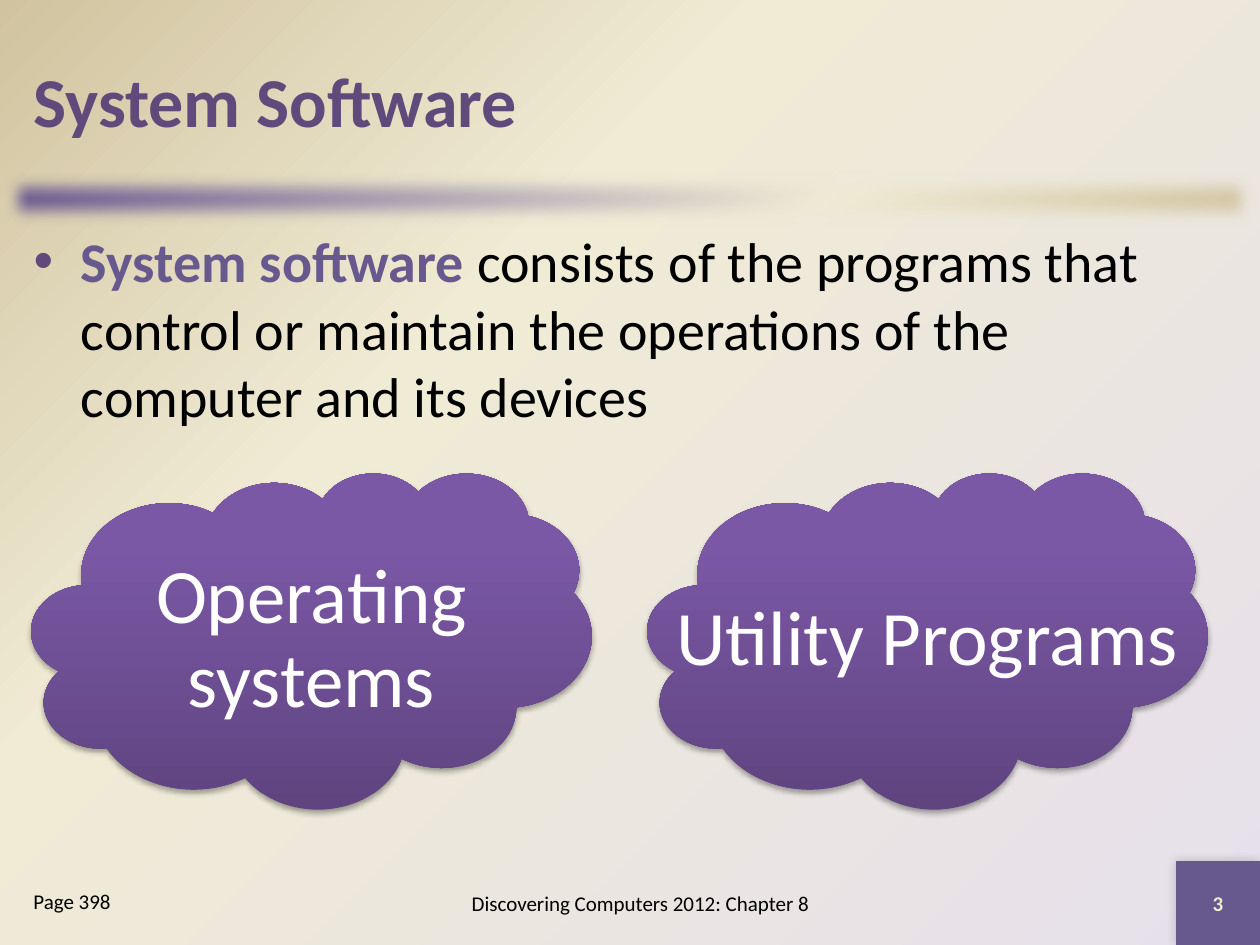
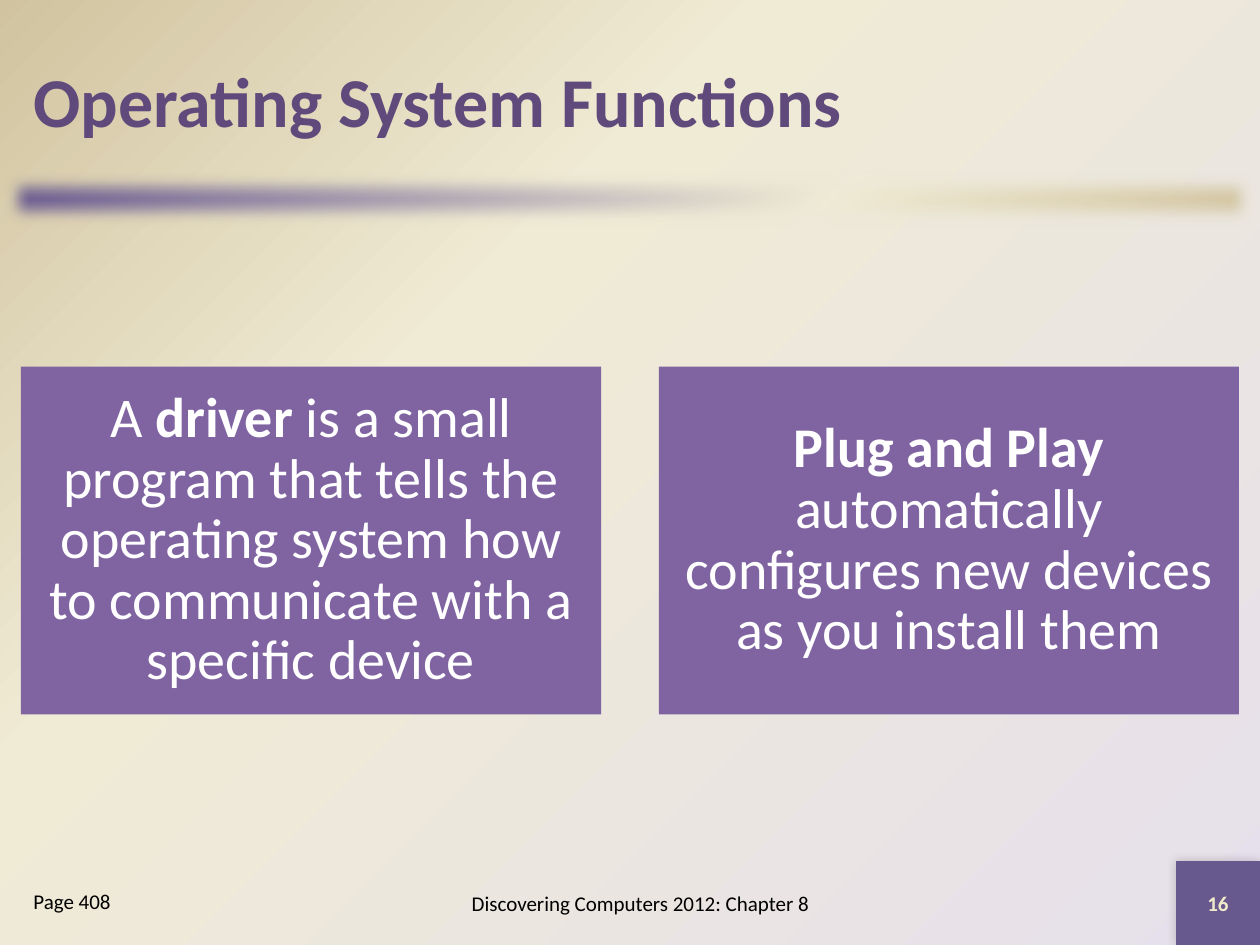
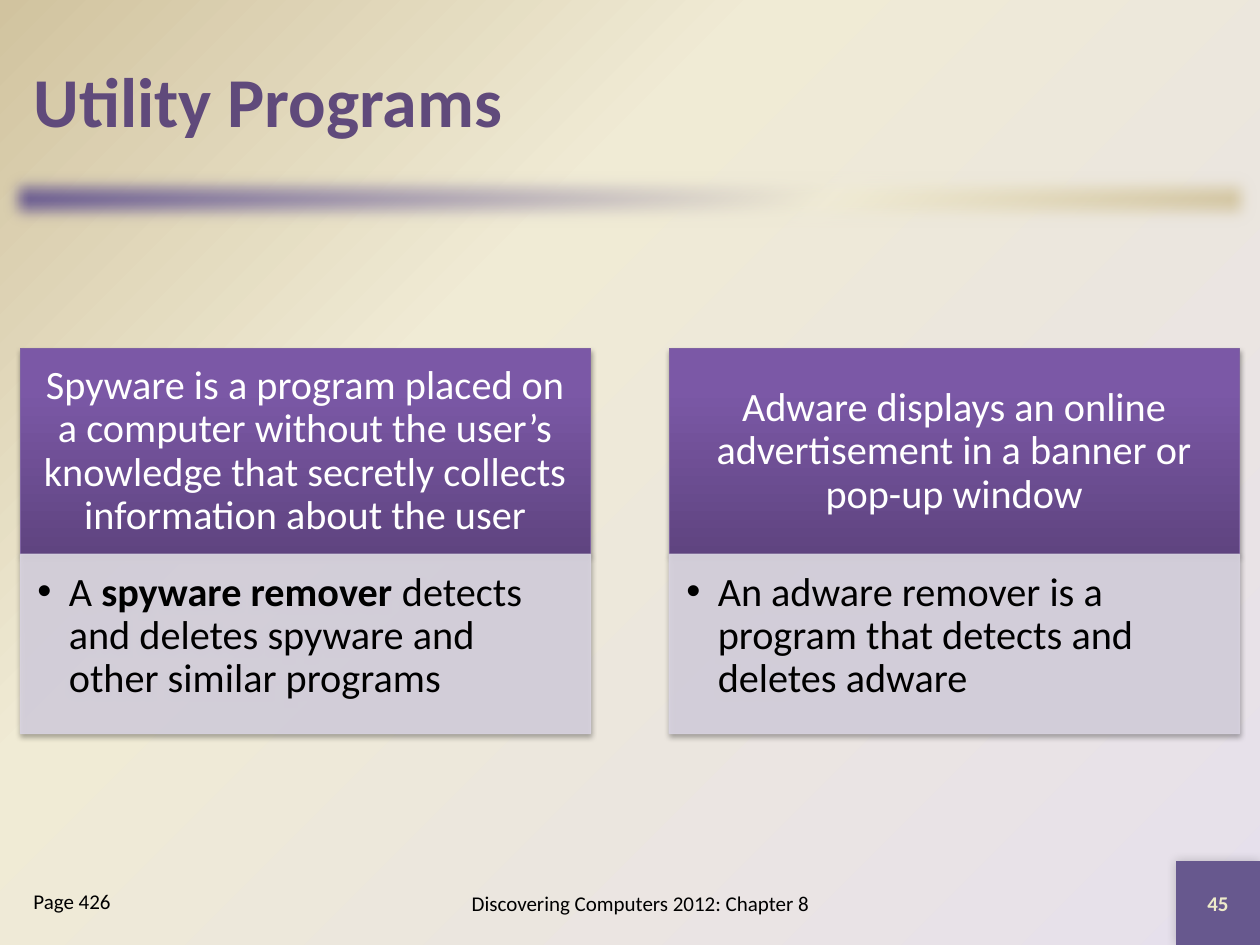
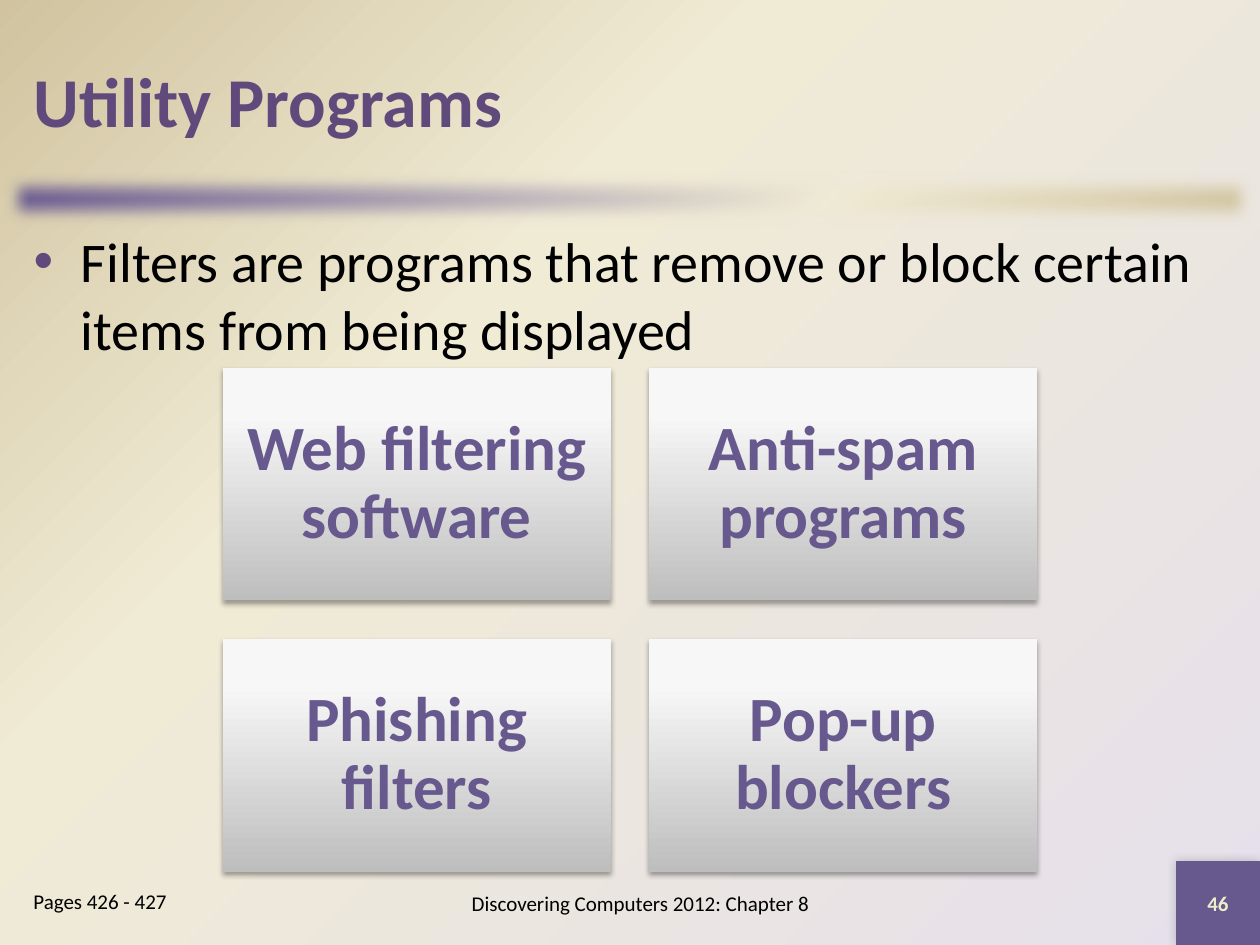
"""Build four textbook slides on system software and utility programs."""
from dataclasses import dataclass

from lxml import etree
from pptx import Presentation
from pptx.dml.color import RGBColor
from pptx.enum import shapes, text
from pptx.oxml import ns
from pptx.util import Pt

RECTANGLE = shapes.MSO_SHAPE.RECTANGLE
CLOUD = shapes.MSO_SHAPE.CLOUD
LEFT, CENTER = text.PP_ALIGN.LEFT, text.PP_ALIGN.CENTER
TOP, MIDDLE = text.MSO_ANCHOR.TOP, text.MSO_ANCHOR.MIDDLE
TITLE_AND_LIST, TITLE_ONLY = 1, 5
MARGINS = ("margin_left", "margin_top", "margin_right", "margin_bottom")


@dataclass(frozen=True)
class Theme:
    """Colours, gradients and type sizes of the deck."""
    font: str = "Calibri"
    title: str = "604A7B"
    accent: str = "67588E"
    panel: str = "8064A2"
    pale: str = "D8D3E0"
    number: str = "EEEBCA"
    black: str = "000000"
    white: str = "FFFFFF"
    backdrop: tuple = ((0, "E6E0EC"), (65, "F0EBD5"), (100, "D1C39F"))
    band: tuple = ((0, "67588E"), (65, "F0EBD5"), (100, "D1C39F"))
    purple: tuple = ((0, "5F4480"), (80, "7B58A6"), (100, "7C57A8"))
    silver: tuple = ((0, "BEBEBE"), (80, "F7F7F7"), (100, "F8F8F8"))
    title_size: float = 40
    body_size: float = 32
    cloud_size: float = 44
    tile_size: float = 36
    compare_size: float = 23
    footer_size: float = 12


THEME = Theme()
DROP_SHADOW = dict(blur=3.1, distance=1.8, angle=90, alpha=35)


def apply(target, formats):
    """Set every attribute named in formats on the target."""
    for name, value in formats.items():
        setattr(target, name, value)


def add_xml(parent, tag, **attributes):
    """Append a namespaced element with the given attributes."""
    element = etree.SubElement(parent, ns.qn(tag))
    for name, value in attributes.items():
        element.set(name, str(value))
    return element


def add_color(parent, color, alpha=100):
    """Append an RGB colour with its opacity in percent."""
    element = add_xml(parent, "a:srgbClr", val=color)
    if alpha < 100:
        add_xml(element, "a:alpha", val=alpha * 1000)


def replace_fill(owner, stops, angle=None):
    """Swap a solid fill for a linear gradient, or a radial one without an angle."""
    solid = owner.xpath("a:solidFill")[0]
    gradient = etree.Element(ns.qn("a:gradFill"), rotWithShape="1")
    stop_list = add_xml(gradient, "a:gsLst")
    for position, color in stops:
        add_color(add_xml(stop_list, "a:gs", pos=position * 1000), color)
    if angle is None:
        route = add_xml(gradient, "a:path", path="circle")
        add_xml(route, "a:fillToRect", l=100000, t=100000)
    else:
        add_xml(gradient, "a:lin", ang=angle * 60000, scaled=0)
    owner.replace(solid, gradient)


class Deck:
    """Holds the presentation, its theme and the current slide."""

    def __init__(self, theme):
        self.theme = theme
        self.presentation = Presentation()
        self.presentation.slide_width, self.presentation.slide_height = Pt(720), Pt(540)
        self.slide = None

    def start_slide(self, title, page, number, layout=TITLE_ONLY):
        """Add a slide with its title and footer."""
        theme = self.theme
        layouts = self.presentation.slide_layouts
        self.slide = self.presentation.slides.add_slide(layouts[layout])
        if len(self.presentation.slides) == 1:
            self.dress_master()
        heading = self.slide.shapes.title
        self.place(heading, 12, 12, 696, 90)
        self.set_text(heading, [(title, {})], theme.title_size, theme.title,
                      align=LEFT, bold=True)
        self.label("Discovering Computers 2012: Chapter 8", (216, 498, 300, 36),
                   theme.footer_size, theme.black)
        self.label(number, (672, 492, 48, 48), theme.footer_size, theme.number, bold=True)
        self.label(page, (12, 504, 132, 36), theme.footer_size, theme.black,
                   align=LEFT, anchor=TOP)

    def dress_master(self):
        """Give the slide master its background, band and number square."""
        master = self.presentation.slide_master
        master.background.fill.solid()
        master.background.fill.fore_color.rgb = RGBColor.from_string(self.theme.backdrop[0][1])
        replace_fill(master.element.xpath(".//p:bgPr")[0], self.theme.backdrop)
        band = self.panel((0, 96, 720, 36), self.theme.band, angle=45)
        add_xml(band.element.spPr.xpath("a:effectLst")[0], "a:softEdge", rad=Pt(10))
        square = self.panel((672, 492, 48, 48), self.theme.accent,
                            shadow=dict(blur=6, distance=0, angle=225, alpha=20))
        tree = master.shapes.element
        for offset, shape in enumerate((band, square)):
            shape.element.xpath("p:nvSpPr/p:cNvPr")[0].set("id", str(100 + offset))
            tree.insert(2 + offset, shape.element)

    def place(self, shape, left, top, width, height):
        """Move and size a shape in points."""
        apply(shape, dict(left=Pt(left), top=Pt(top), width=Pt(width), height=Pt(height)))

    def panel(self, box, fill, kind=RECTANGLE, angle=270, line=None, shadow=None, alpha=100):
        """Add a preset shape with a plain or gradient fill."""
        shape = self.slide.shapes.add_shape(kind, *map(Pt, box))
        shape.shadow.inherit = False
        properties = shape.element.spPr
        shape.fill.solid()
        if isinstance(fill, str):
            shape.fill.fore_color.rgb = RGBColor.from_string(fill)
        else:
            replace_fill(properties, fill, angle)
        if line:
            shape.line.color.rgb = RGBColor.from_string(line)
            shape.line.width = Pt(0.75)
        else:
            shape.line.fill.background()
        if alpha < 100:
            for color in properties.xpath(".//a:solidFill/a:srgbClr"):
                add_xml(color, "a:alpha", val=alpha * 1000)
        if shadow:
            effects = properties.xpath("a:effectLst")[0]
            cast = add_xml(effects, "a:outerShdw", blurRad=Pt(shadow["blur"]),
                           dist=Pt(shadow["distance"]), dir=shadow["angle"] * 60000,
                           rotWithShape=0)
            add_color(cast, self.theme.black, shadow["alpha"])
        return shape

    def label(self, wording, box, size, color, **options):
        """Add a text box."""
        shape = self.slide.shapes.add_textbox(*map(Pt, box))
        self.set_text(shape, [(wording, {})], size, color, **options)

    def bullets(self, runs):
        """Fill the body placeholder with one bulleted paragraph."""
        body = self.slide.placeholders[1]
        self.place(body, 12, 126, 696, 366)
        self.set_text(body, runs, self.theme.body_size, self.theme.black, align=LEFT,
                      anchor=TOP, bullet=self.theme.title, indent=27)

    def set_text(self, shape, runs, size, color, align=CENTER, anchor=MIDDLE, bold=False,
                 insets=(7.2, 3.6, 7.2, 3.6), spacing=1.0, bullet=None, indent=0):
        """Put formatted runs into a shape as its only paragraph."""
        frame = shape.text_frame
        apply(frame, dict(word_wrap=True, auto_size=text.MSO_AUTO_SIZE.NONE,
                          vertical_anchor=anchor))
        apply(frame, dict(zip(MARGINS, map(Pt, insets))))
        paragraph = frame.paragraphs[0]
        if bullet:
            properties = paragraph._p.get_or_add_pPr()
            properties.set("marL", str(Pt(indent)))
            properties.set("indent", str(-Pt(indent)))
            add_color(add_xml(properties, "a:buClr"), bullet)
            add_xml(properties, "a:buFont", typeface="Arial")
            add_xml(properties, "a:buChar", char="•")
        apply(paragraph, dict(alignment=align, line_spacing=spacing, space_before=Pt(0)))
        for wording, changes in runs:
            run = paragraph.add_run()
            run.text = wording
            formats = dict(name=self.theme.font, size=Pt(size), bold=bold) | changes
            run.font.color.rgb = RGBColor.from_string(formats.pop("color", color))
            apply(run.font, formats)


def system_software(deck):
    """Show the two kinds of system software as clouds."""
    theme = deck.theme
    deck.start_slide("System Software", "Page 398", "3", TITLE_AND_LIST)
    deck.bullets([
        ("System software ", dict(bold=True, color=theme.accent)),
        ("consists of the programs that control or maintain the operations of the "
         "computer and its devices", {})])
    for left, wording in ((18, "Operating systems"), (370, "Utility Programs")):
        box = (left, 270, 320, 192)
        deck.panel(box, theme.purple, CLOUD, shadow=DROP_SHADOW)
        deck.label(wording, box, theme.cloud_size, theme.white,
                   insets=(12.9,) * 4, spacing=0.9)


def operating_system_functions(deck):
    """Define drivers and Plug and Play side by side."""
    theme = deck.theme
    deck.start_slide("Operating System Functions", "Page 408", "16")
    strong = dict(bold=True)
    definitions = (
        [("A ", {}), ("driver", strong),
         (" is a small program that tells the operating system how to communicate "
          "with a specific device", {})],
        [("Plug and Play", strong),
         (" automatically configures new devices as you install them", {})])
    for column, runs in enumerate(definitions):
        shape = deck.panel((12 + column * 364.5, 209.5, 331.5, 198.8), theme.panel)
        deck.set_text(shape, runs, theme.body_size, theme.white,
                      insets=(9.6,) * 4, spacing=0.9)


def unwanted_programs(deck):
    """Pair spyware and adware with their removers."""
    theme = deck.theme
    deck.start_slide("Utility Programs", "Page 426", "45")
    pairs = (
        ("Spyware is a program placed on a computer without the user’s knowledge that "
         "secretly collects information about the user",
         [("A ", {}), ("spyware remover", dict(bold=True)),
          (" detects and deletes spyware and other similar programs", {})]),
        ("Adware displays an online advertisement in a banner or pop-up window",
         [("An adware remover is a program that detects and deletes adware", {})]))
    for column, (threat, remover) in enumerate(pairs):
        left, width = 11.7 + column * 370.8, 325.8
        header = deck.panel((left, 199.2, width, 117.6), theme.purple,
                            line=theme.panel, shadow=DROP_SHADOW)
        deck.set_text(header, [(threat, {})], theme.compare_size, theme.white,
                      insets=(12.88, 7.36, 12.88, 7.36), spacing=0.9)
        detail = deck.panel((left, 316.8, width, 102.4), theme.pale,
                            line=theme.pale, shadow=DROP_SHADOW, alpha=90)
        deck.set_text(detail, remover, theme.compare_size, theme.black, align=LEFT,
                      anchor=TOP, insets=(9.66, 9.66, 12.88, 14.49), spacing=0.9,
                      bullet=theme.black, indent=18)


def filters(deck):
    """Show four kinds of filters in a grid."""
    theme = deck.theme
    deck.start_slide("Utility Programs", "Pages 426 - 427", "46", TITLE_AND_LIST)
    deck.bullets([("Filters are programs that remove or block certain items from "
                   "being displayed", {})])
    names = ("Web filtering software", "Anti-spam programs",
             "Phishing filters", "Pop-up blockers")
    width, height, gap = 221.7, 133, 22
    for index, name in enumerate(names):
        row, column = divmod(index, 2)
        box = (127.3 + column * (width + gap), 210.2 + row * (height + gap), width, height)
        tile = deck.panel(box, theme.silver, shadow=DROP_SHADOW)
        deck.set_text(tile, [(name, {})], theme.tile_size, theme.accent, bold=True,
                      insets=(10.8,) * 4, spacing=0.9)


def main():
    """Build the slides in order and save them."""
    deck = Deck(THEME)
    for build in (system_software, operating_system_functions, unwanted_programs, filters):
        build(deck)
    deck.presentation.save("out.pptx")


if __name__ == "__main__":
    main()
